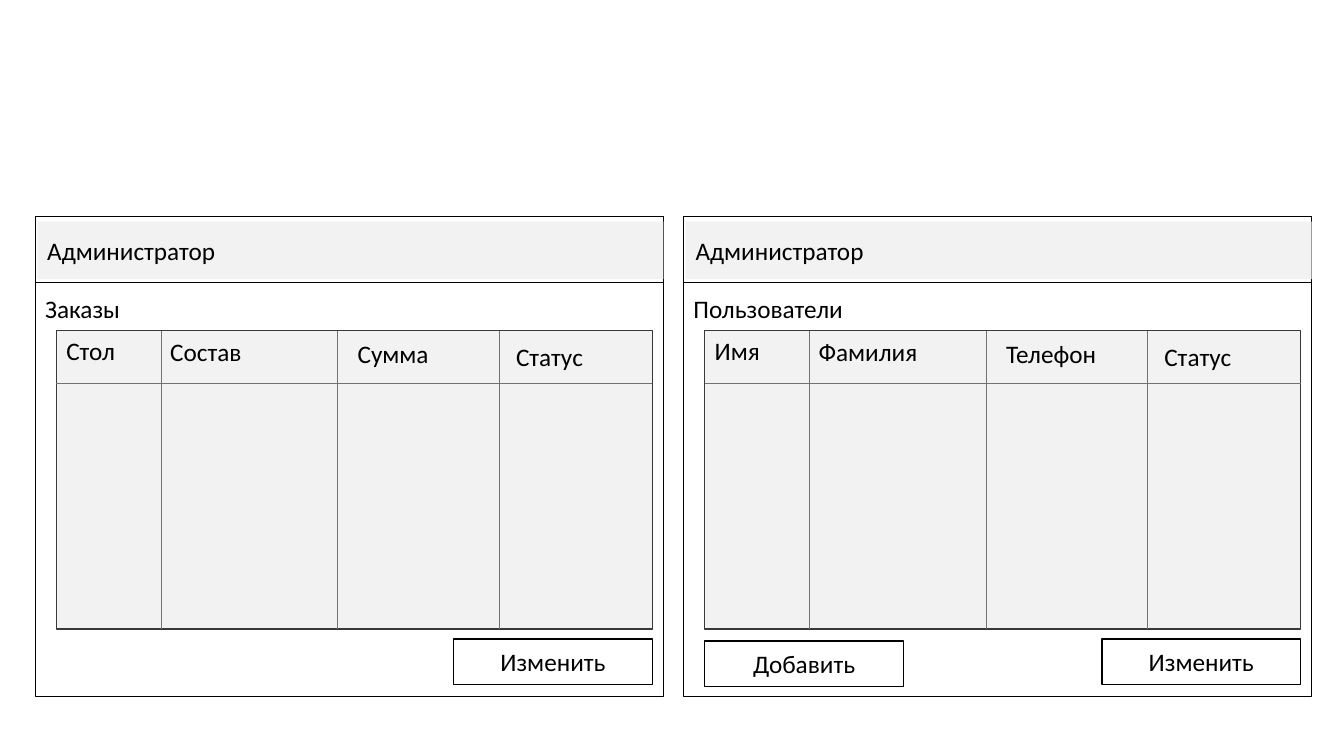
from dataclasses import dataclass

from pptx import Presentation
from pptx.dml.color import RGBColor
from pptx.enum import shapes, text
from pptx.oxml.ns import qn
from pptx.shapes.autoshape import Shape
from pptx.shapes.shapetree import GroupShapes, SlideShapes
from pptx.util import Inches, Pt

COLORS = {
    "black": "000000",
    "white": "FFFFFF",
    "panel": "F2F2F2",
    "table_border": "3B3838",
    "table_grid": "767171",
}
FONT = "Calibri"
FONT_SIZE = 18

WINDOW_TOP, WINDOW_WIDTH, WINDOW_HEIGHT = 2.15, 6.23, 4.76
TITLE_LINE_Y = 2.8
TABLE_INSET, TABLE_TOP, TABLE_WIDTH, TABLE_HEIGHT = 0.21, 3.28, 5.91, 2.96
HEADER_LINE_Y = 3.8
COLUMN_OFFSETS = (1.04, 2.79, 4.39)
BUTTON_WIDTH, BUTTON_HEIGHT = 1.97, 0.45

Canvas = SlideShapes | GroupShapes


@dataclass(frozen=True)
class Box:
    left: float
    top: float
    width: float
    height: float


@dataclass(frozen=True)
class Heading:
    label: str
    width: float = 1.04


@dataclass(frozen=True)
class Window:
    left: float
    section: str
    headings: tuple[Heading, ...]


# Left offset from the table edge and top of each column heading.
HEADING_PLACES = ((0, 3.28), (1.03, 3.29), (2.89, 3.31), (4.46, 3.34))

ORDERS = Window(
    0.35,
    "Заказы",
    (Heading("Стол"), Heading("Состав"), Heading("Сумма"), Heading("Статус")),
)
USERS = Window(
    6.78,
    "Пользователи",
    (Heading("Имя"), Heading("Фамилия", 1.76), Heading("Телефон", 1.51), Heading("Статус")),
)


def rgb(name: str) -> RGBColor:
    return RGBColor.from_string(COLORS[name])


def write(shape: Shape, label: str, centred: bool = False, middle: bool = True) -> None:
    frame = shape.text_frame
    frame.word_wrap = True
    frame.vertical_anchor = text.MSO_ANCHOR.MIDDLE if middle else text.MSO_ANCHOR.TOP
    paragraph = frame.paragraphs[0]
    paragraph.alignment = text.PP_ALIGN.CENTER if centred else text.PP_ALIGN.LEFT
    run = paragraph.add_run()
    run.text = label
    run.font.name = FONT
    run.font.size = Pt(FONT_SIZE)
    run.font.color.rgb = rgb("black")


def add_rectangle(canvas: Canvas, box: Box, fill: str, line: str | None = None) -> Shape:
    shape = canvas.add_shape(
        shapes.MSO_SHAPE.RECTANGLE,
        Inches(box.left), Inches(box.top), Inches(box.width), Inches(box.height),
    )
    shape.shadow.inherit = False
    shape.fill.solid()
    shape.fill.fore_color.rgb = rgb(fill)
    if line is None:
        shape.line.fill.background()
    else:
        shape.line.color.rgb = rgb(line)
        shape.line.width = Pt(1)
    return shape


def add_label(canvas: Canvas, box: Box, label: str, middle: bool = True) -> Shape:
    shape = canvas.add_textbox(
        Inches(box.left), Inches(box.top), Inches(box.width), Inches(box.height)
    )
    write(shape, label, middle=middle)
    return shape


def add_line(canvas: Canvas, x1: float, y1: float, x2: float, y2: float, color: str) -> None:
    connector = canvas.add_connector(
        shapes.MSO_CONNECTOR.STRAIGHT, Inches(x1), Inches(y1), Inches(x2), Inches(y2)
    )
    connector.line.color.rgb = rgb(color)
    connector.line.width = Pt(0.5)
    properties = connector._element.spPr
    properties.append(properties.makeelement(qn("a:effectLst"), {}))


def add_button(canvas: Canvas, left: float, top: float, label: str) -> None:
    box = Box(left, top, BUTTON_WIDTH, BUTTON_HEIGHT)
    write(add_rectangle(canvas, box, "white", "black"), label, centred=True)


def add_grid(canvas: Canvas, left: float, headings: tuple[Heading, ...]) -> None:
    """Draw the empty table with its column headings."""
    right, bottom = left + TABLE_WIDTH, TABLE_TOP + TABLE_HEIGHT
    add_rectangle(
        canvas, Box(left, TABLE_TOP, TABLE_WIDTH, TABLE_HEIGHT), "panel", "table_border"
    )
    for offset in COLUMN_OFFSETS:
        add_line(canvas, left + offset, TABLE_TOP, left + offset, bottom, "table_grid")
    add_line(canvas, left, HEADER_LINE_Y, right, HEADER_LINE_Y, "table_grid")
    for heading, (offset, top) in zip(headings, HEADING_PLACES):
        box = Box(left + offset, top, heading.width, 0.4)
        label = add_label(canvas, box, heading.label, middle=False)
        label.text_frame.auto_size = text.MSO_AUTO_SIZE.SHAPE_TO_FIT_TEXT


def add_window(canvas: Canvas, window: Window) -> None:
    left, right = window.left, window.left + WINDOW_WIDTH
    table_left = left + TABLE_INSET
    add_rectangle(
        canvas, Box(left, WINDOW_TOP, WINDOW_WIDTH, WINDOW_HEIGHT), "white", "black"
    )
    add_line(canvas, left, TITLE_LINE_Y, right, TITLE_LINE_Y, "black")
    add_label(canvas, Box(left, 2.83, 1.97, 0.45), window.section)
    title_bar = add_rectangle(canvas, Box(left + 0.02, 2.2, 6.21, 0.57), "panel")
    write(title_bar, "Администратор")
    add_grid(canvas, table_left, window.headings)
    add_button(canvas, table_left + TABLE_WIDTH - BUTTON_WIDTH, 6.34, "Изменить")


def main() -> None:
    presentation = Presentation()
    presentation.slide_width = Inches(13.33)
    presentation.slide_height = Inches(7.5)
    slide = presentation.slides.add_slide(presentation.slide_layouts[6])
    for window in (ORDERS, USERS):
        add_window(slide.shapes.add_group_shape().shapes, window)
    add_button(slide.shapes, USERS.left + TABLE_INSET, 6.36, "Добавить")
    presentation.save("out.pptx")


if __name__ == "__main__":
    main()
